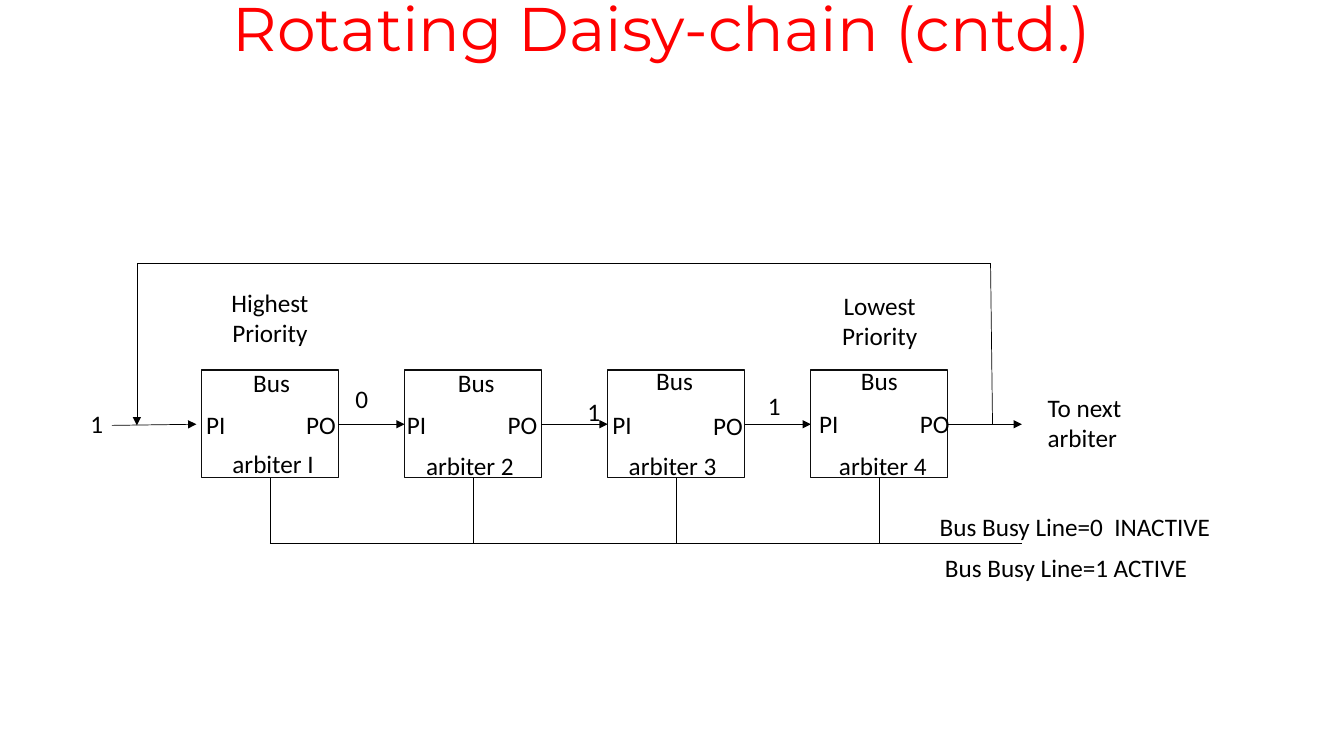
from lxml import etree
from pptx import Presentation
from pptx import util as u
from pptx.dml.color import RGBColor
from pptx.enum import shapes, text
from pptx.oxml.ns import qn

LEFT, CENTER = text.PP_ALIGN.LEFT, text.PP_ALIGN.CENTER
BLACK = "000000"

# Geometry in centimetres
BOX_X, BOX_Y, BOX_W, BOX_H, PITCH = 5.08, 9.32, 3.45, 2.72, 5.12
WIRE_Y, BUSY_Y, LOOP_Y = 10.69, 13.69, 6.63
LOOP_X1, LOOP_X2, END_X = 3.45, 24.99, 25.76

# Per arbiter: name, then the positions of Bus, PI, PO and the name
ARBITERS = [
    ("arbiter I", (5.69, 9.12), (4.95, 10.19), (7.47, 10.19), (5.61, 11.18)),
    ("arbiter 2", (10.85, 9.14), (10.01, 10.19), (12.55, 10.19), (10.49, 11.23)),
    ("arbiter 3", (15.85, 9.09), (15.19, 10.19), (17.73, 10.21), (15.6, 11.23)),
    ("arbiter 4", (21.01, 9.07), (20.4, 10.16), (22.94, 10.16), (20.9, 11.23)),
]

# Text, left, top, width, height, alignment
NOTES = [
    ("Highest Priority", 5.08, 7.11, 3.45, 1.78, CENTER),
    ("Lowest Priority", 20.45, 7.19, 3.45, 1.78, CENTER),
    ("To next arbiter", 26.16, 9.75, 3.45, 1.78, LEFT),
    ("Bus Busy Line=0  INACTIVE", 23.44, 12.75, 9.63, 1.78, LEFT),
    ("Bus Busy Line=1 ACTIVE", 23.57, 13.79, 7.19, 1.02, LEFT),
    ("1", 2.03, 10.16, 0.91, 1.02, LEFT),
    ("0", 8.71, 9.53, 0.74, 1.02, LEFT),
    ("1", 14.45, 9.87, 1.04, 1.02, CENTER),
    ("1", 19, 9.71, 1.04, 1.02, CENTER),
]


def rgb(value):
    return RGBColor.from_string(value)


def add_label(s, words, x, y, w, h=1.02, align=LEFT, size=18, font="Calibri", color=BLACK):
    sp = s.shapes.add_textbox(u.Cm(x), u.Cm(y), u.Cm(w), u.Cm(h))
    tf = sp.text_frame
    tf.word_wrap = True
    tf.text = words
    p = tf.paragraphs[0]
    p.alignment = align
    r = p.runs[0]
    r.font.size, r.font.name = u.Pt(size), font
    r.font.color.rgb = rgb(color)
    return sp


def add_line(s, x1, y1, x2, y2, arrow=False):
    c = s.shapes.add_connector(shapes.MSO_CONNECTOR.STRAIGHT,
                               u.Cm(x1), u.Cm(y1), u.Cm(x2), u.Cm(y2))
    c.line.color.rgb = rgb(BLACK)
    c.line.width = u.Pt(0.5)
    if arrow:
        etree.SubElement(c.line._get_or_add_ln(), qn("a:tailEnd"), type="triangle")
    etree.SubElement(c._element.spPr, qn("a:effectLst"))


def add_box(s, x):
    sp = s.shapes.add_shape(shapes.MSO_SHAPE.RECTANGLE,
                            u.Cm(x), u.Cm(BOX_Y), u.Cm(BOX_W), u.Cm(BOX_H))
    sp.shadow.inherit = False
    sp.fill.background()
    sp.line.color.rgb = rgb("0D0D0D")
    sp.line.width = u.Pt(1)


def add_arbiter(s, i, name, bus, pi, po, name_at):
    x = BOX_X + i * PITCH
    right, mid = x + BOX_W, x + BOX_W / 2
    add_box(s, x)
    add_line(s, mid, BOX_Y + BOX_H, mid, BUSY_Y)
    out = END_X if i == len(ARBITERS) - 1 else x + PITCH
    add_line(s, right, WIRE_Y, out, WIRE_Y, arrow=True)
    add_label(s, "Bus", *bus, 2.31, align=CENTER)
    add_label(s, "PI", *pi, 1.32)
    add_label(s, "PO", *po, 1.32)
    add_label(s, name, *name_at, 3.12)


def main():
    prs = Presentation()
    prs.slide_width, prs.slide_height = u.Cm(33.88), u.Cm(19.05)
    s = prs.slides.add_slide(prs.slide_layouts[6])

    # Title
    sp = add_label(s, "Rotating Daisy-chain (cntd.) ", 2.29, -1.04, 29.21, 3.68,
                   CENTER, 44, "Montserrat", "FF0000")
    sp.text_frame.vertical_anchor = text.MSO_ANCHOR.MIDDLE
    sp.text_frame.paragraphs[0].line_spacing = 0.9

    # Arbiter chain
    for i, arbiter in enumerate(ARBITERS):
        add_arbiter(s, i, *arbiter)

    # Input wire, busy line and feedback loop
    add_line(s, 2.82, WIRE_Y + 0.03, 4.95, WIRE_Y, arrow=True)
    add_line(s, BOX_X + BOX_W / 2, BUSY_Y, END_X, BUSY_Y)
    add_line(s, LOOP_X2 + 0.03, WIRE_Y, LOOP_X2 - 0.02, LOOP_Y)
    add_line(s, LOOP_X2 - 0.02, LOOP_Y, LOOP_X1, LOOP_Y)
    add_line(s, LOOP_X1, LOOP_Y, LOOP_X1, WIRE_Y + 0.03, arrow=True)

    # Signal values and notes
    for note in NOTES:
        add_label(s, *note)

    prs.save("out.pptx")


if __name__ == "__main__":
    main()
